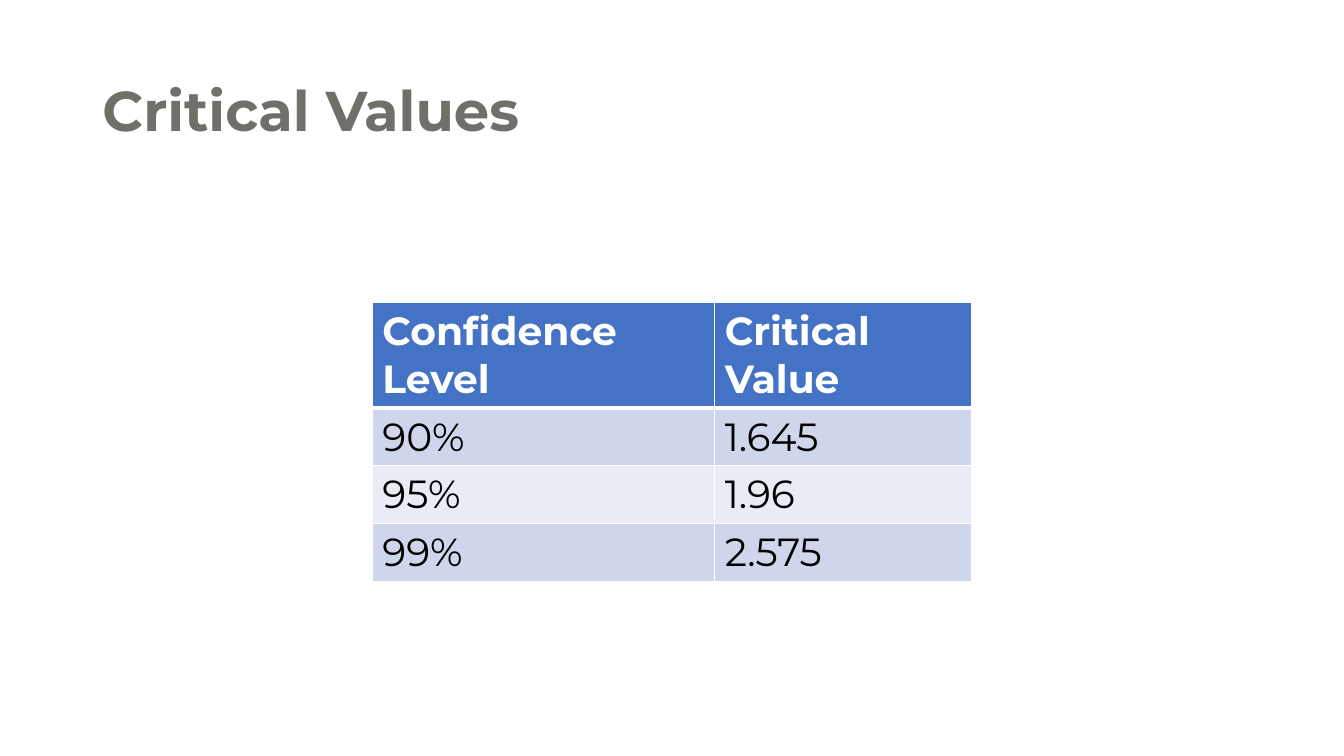
from dataclasses import dataclass

from lxml import etree
from pptx import Presentation
from pptx.dml.color import RGBColor
from pptx.enum import text
from pptx.oxml.ns import qn
from pptx.util import Pt


@dataclass(frozen=True)
class Theme:
    font: str = "Montserrat"
    title: str = "6E706A"
    head: str = "4472C4"
    bands: tuple = ("CFD5EA", "E9EBF5")
    light: str = "FFFFFF"
    dark: str = "000000"
    title_size: int = 40
    cell_size: int = 28
    thin: int = 1
    thick: int = 3


class Deck:
    def __init__(self, theme):
        self.theme = theme
        self.prs = Presentation()
        self.prs.slide_width, self.prs.slide_height = Pt(960), Pt(540)
        self.slide = self.prs.slides.add_slide(self.prs.slide_layouts[5])

    def run(self, para, words, size, color, bold):
        run = para.add_run()
        run.text = words
        font = run.font
        font.name, font.size, font.bold = self.theme.font, Pt(size), bold
        font.color.rgb = RGBColor.from_string(color)

    def title(self, words, left, top, width, height):
        box = self.slide.shapes.title
        box.left, box.top = Pt(left), Pt(top)
        box.width, box.height = Pt(width), Pt(height)
        frame = box.text_frame
        frame.word_wrap = True
        frame.vertical_anchor = text.MSO_ANCHOR.MIDDLE
        para = frame.paragraphs[0]
        para.alignment = text.PP_ALIGN.LEFT
        para.line_spacing = 0.9
        self.run(para, words, self.theme.title_size, self.theme.title, True)

    def edge(self, cell, side, width):
        """Draw one cell border; call before the cell is filled."""
        props = cell._tc.get_or_add_tcPr()
        line = etree.SubElement(props, qn(f"a:ln{side}"), w=str(Pt(width)))
        fill = etree.SubElement(line, qn("a:solidFill"))
        etree.SubElement(fill, qn("a:srgbClr"), val=self.theme.light)

    def table(self, rows, left, top, widths, height):
        """Place a table with a header row and banded body rows."""
        look = self.theme
        frame = self.slide.shapes.add_table(
            len(rows), len(widths), Pt(left), Pt(top),
            Pt(sum(widths)), Pt(height * len(rows)))
        grid = frame.table
        for col, width in zip(grid.columns, widths):
            col.width = Pt(width)
        for i, row in enumerate(rows):
            grid.rows[i].height = Pt(height)
            head = i == 0
            back = look.head if head else look.bands[(i - 1) % 2]
            ink = look.light if head else look.dark
            for j, words in enumerate(row):
                cell = grid.cell(i, j)
                for side in "LRTB":
                    rule = (i, side) in ((0, "B"), (1, "T"))
                    self.edge(cell, side, look.thick if rule else look.thin)
                cell.fill.solid()
                cell.fill.fore_color.rgb = RGBColor.from_string(back)
                self.run(cell.text_frame.paragraphs[0], words,
                         look.cell_size, ink, head)


def main():
    deck = Deck(Theme())
    deck.title("Critical Values", 66, 28.75, 828, 104.4)
    deck.table([
        ("Confidence Level", "Critical Value"),
        ("90%", "1.645"),
        ("95%", "1.96"),
        ("99%", "2.575"),
    ], 266, 216, (244.5, 183.5), 29.5)
    deck.prs.save("out.pptx")


if __name__ == "__main__":
    main()
